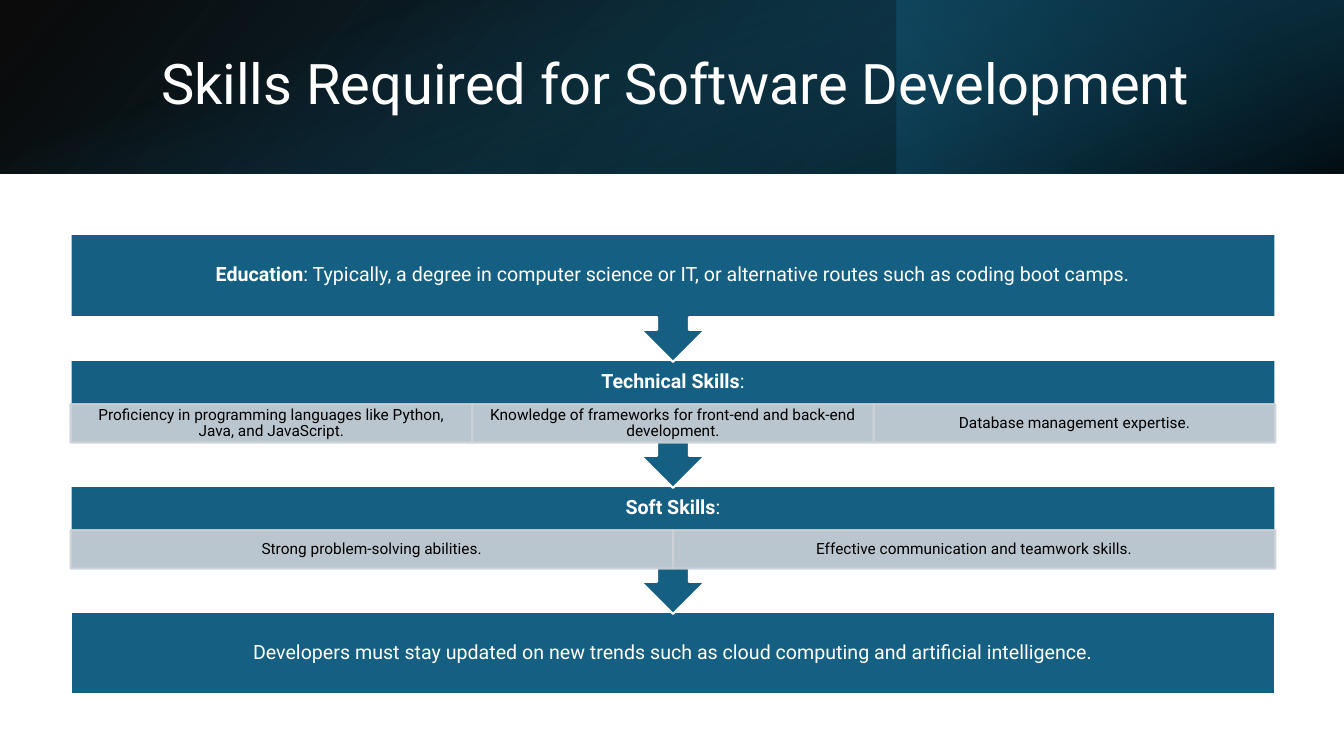
from dataclasses import dataclass

from lxml import etree
from pptx import Presentation
from pptx import util as u
from pptx.dml.color import RGBColor
from pptx.enum import shapes, text
from pptx.oxml.ns import qn


@dataclass(frozen=True)
class Theme:
    font: str = "Roboto"
    teal: str = "156082"
    white: str = "FFFFFF"
    black: str = "000000"
    grey: str = "CCD2D8"
    title_size: float = 40
    step_size: float = 14
    detail_size: float = 11
    outline: float = 1.5
    detail_opacity: int = 90


@dataclass(frozen=True)
class Box:
    left: float
    top: float
    width: float
    height: float

    def lengths(self) -> tuple:
        return tuple(u.Inches(v) for v in (self.left, self.top, self.width, self.height))


@dataclass(frozen=True)
class Stop:
    position: int
    color: str
    opacity: int = 100


@dataclass(frozen=True)
class Band:
    box: Box
    angle: int  # clockwise
    stops: tuple[Stop, Stop]
    rotation: int = 0
    flipped: bool = False


@dataclass(frozen=True)
class Step:
    heading: str
    body: str
    details: tuple[str, ...] = ()


THEME = Theme()
WIDTH, HEIGHT, HEADER = 13.33, 7.5, 1.72
STEP_LEFT, STEP_TOP, STEP_WIDTH, STEP_PITCH = 0.7, 2.32, 11.95, 1.25
BAR_HEIGHT, CALLOUT_HEIGHT = 0.82, 1.27
HEADING_HEIGHT, DETAIL_HEIGHT = 0.44, 0.38

BANDS = (
    Band(Box(0, 0, WIDTH, HEADER), 140,
         (Stop(0, THEME.black, 96), Stop(100, "104862")), flipped=True),
    Band(Box(8.89, 0, 4.44, HEADER), 320,
         (Stop(19, "0B3041", 68), Stop(100, THEME.teal, 79)), rotation=180),
    Band(Box((WIDTH - HEADER) / 2, (HEADER - WIDTH) / 2, HEADER, WIDTH), 340,
         (Stop(23, THEME.teal, 0), Stop(99, THEME.black, 74)), rotation=90),
)
STEPS = (
    Step("Education", ": Typically, a degree in computer science or IT, "
         "or alternative routes such as coding boot camps."),
    Step("Technical Skills", ":", (
        "Proficiency in programming languages like Python, Java, and JavaScript.",
        "Knowledge of frameworks for front-end and back-end development.",
        "Database management expertise.")),
    Step("Soft Skills", ":", (
        "Strong problem-solving abilities.",
        "Effective communication and teamwork skills.")),
    Step("", "Developers must stay updated on new trends such as cloud computing "
         "and artificial intelligence."),
)


def set_opacity(color_parent, percent: int) -> None:
    """Add transparency to the colour inside a fill or gradient stop."""
    alpha = etree.SubElement(color_parent.find(qn("a:srgbClr")), qn("a:alpha"))
    alpha.set("val", str(percent * 1000))


def add_band(slide, band: Band) -> None:
    shape = slide.shapes.add_shape(shapes.MSO_SHAPE.RECTANGLE, *band.box.lengths())
    shape.shadow.inherit = False
    shape.line.fill.background()
    shape.rotation = band.rotation
    if band.flipped:
        shape._element.spPr.find(qn("a:xfrm")).set("flipH", "1")
    shape.fill.gradient()
    shape.fill.gradient_angle = 360 - band.angle
    nodes = shape._element.spPr.iter(qn("a:gs"))
    for target, node, stop in zip(shape.fill.gradient_stops, nodes, band.stops):
        target.position = stop.position / 100
        target.color.rgb = RGBColor.from_string(stop.color)
        set_opacity(node, stop.opacity)


def add_panel(slide, kind, box: Box, fill: str, line: str, opacity: int = 100):
    shape = slide.shapes.add_shape(kind, *box.lengths())
    shape.shadow.inherit = False
    shape.fill.solid()
    shape.fill.fore_color.rgb = RGBColor.from_string(fill)
    shape.line.color.rgb = RGBColor.from_string(line)
    shape.line.width = u.Pt(THEME.outline)
    if opacity < 100:
        for node in list(shape._element.spPr.iter(qn("a:solidFill"))):
            set_opacity(node, opacity)
    return shape


def add_text(slide, box: Box, body: str, size: float, color: str, heading: str = "",
             align=text.PP_ALIGN.CENTER, inset: tuple[float, float] = (0.11, 0.11)) -> None:
    frame = slide.shapes.add_textbox(*box.lengths()).text_frame
    frame.word_wrap = True
    frame.vertical_anchor = text.MSO_ANCHOR.MIDDLE
    frame.margin_left = frame.margin_right = u.Inches(inset[0])
    frame.margin_top = frame.margin_bottom = u.Inches(inset[1])
    paragraph = frame.paragraphs[0]
    paragraph.alignment = align
    paragraph.line_spacing = 0.9
    for words, bold in ((heading, True), (body, False)):
        if words:
            run = paragraph.add_run()
            run.text = words
            run.font.name = THEME.font
            run.font.size = u.Pt(size)
            run.font.bold = bold
            run.font.color.rgb = RGBColor.from_string(color)


def add_step(slide, index: int, step: Step) -> None:
    top = STEP_TOP + index * STEP_PITCH
    is_last = index == len(STEPS) - 1
    kind = shapes.MSO_SHAPE.RECTANGLE if is_last else shapes.MSO_SHAPE.UP_ARROW_CALLOUT
    height = BAR_HEIGHT if is_last else CALLOUT_HEIGHT
    panel = add_panel(slide, kind, Box(STEP_LEFT, top, STEP_WIDTH, height),
                      THEME.teal, THEME.white)
    panel.rotation = 0 if is_last else 180

    text_height = HEADING_HEIGHT if step.details else BAR_HEIGHT
    add_text(slide, Box(STEP_LEFT, top, STEP_WIDTH, text_height), step.body,
             THEME.step_size, THEME.white, step.heading)

    # Details share the width of the step equally
    for column, detail in enumerate(step.details):
        width = STEP_WIDTH / len(step.details)
        box = Box(STEP_LEFT + column * width, top + HEADING_HEIGHT, width, DETAIL_HEIGHT)
        add_panel(slide, shapes.MSO_SHAPE.RECTANGLE, box, THEME.grey, THEME.grey,
                  THEME.detail_opacity)
        add_text(slide, box, detail, THEME.detail_size, THEME.black, inset=(0.09, 0.02))


def main() -> None:
    presentation = Presentation()
    presentation.slide_width = u.Inches(WIDTH)
    presentation.slide_height = u.Inches(HEIGHT)
    slide = presentation.slides.add_slide(presentation.slide_layouts[6])

    # Header
    for band in BANDS:
        add_band(slide, band)
    add_text(slide, Box(1.5, 0.38, 10.98, 0.96), "Skills Required for Software Development",
             THEME.title_size, THEME.white, align=text.PP_ALIGN.LEFT, inset=(0.1, 0.05))

    # Steps, from the bottom up so each arrow overlaps the step below
    for index, step in reversed(list(enumerate(STEPS))):
        add_step(slide, index, step)

    presentation.save("out.pptx")


if __name__ == "__main__":
    main()
